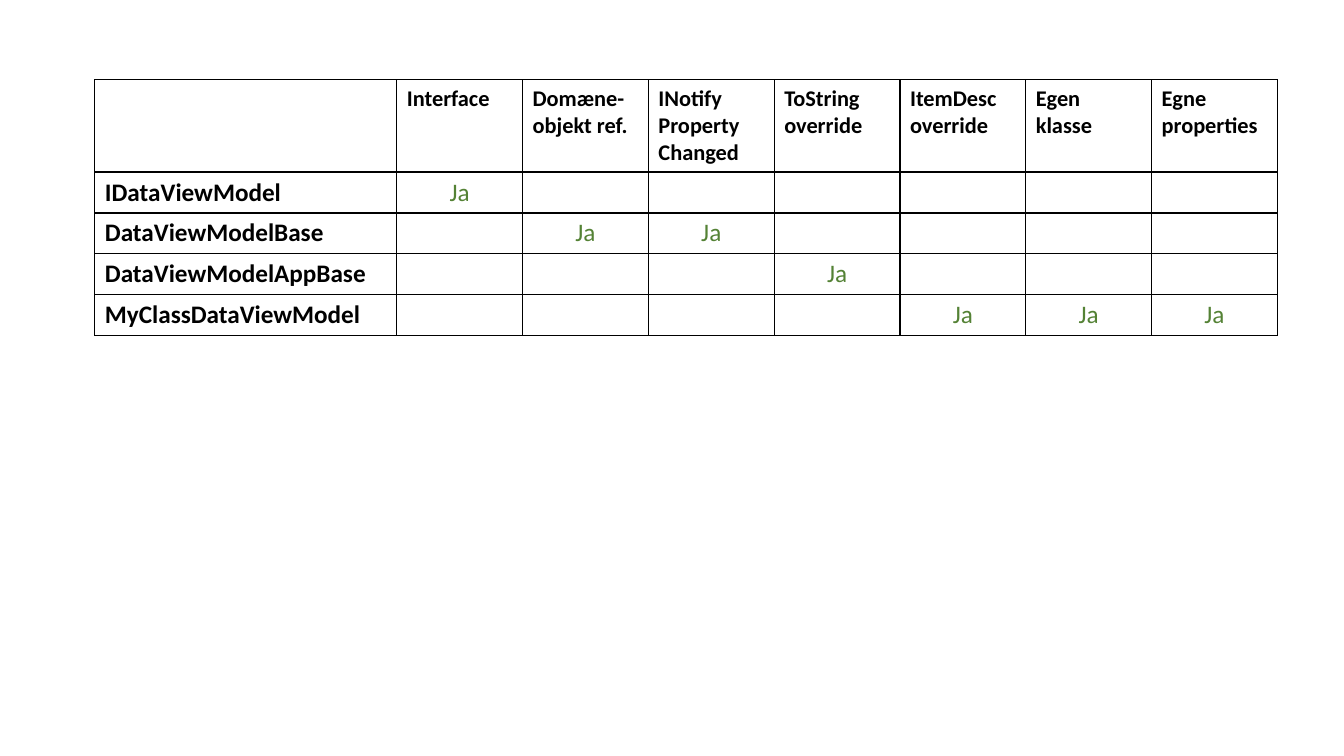
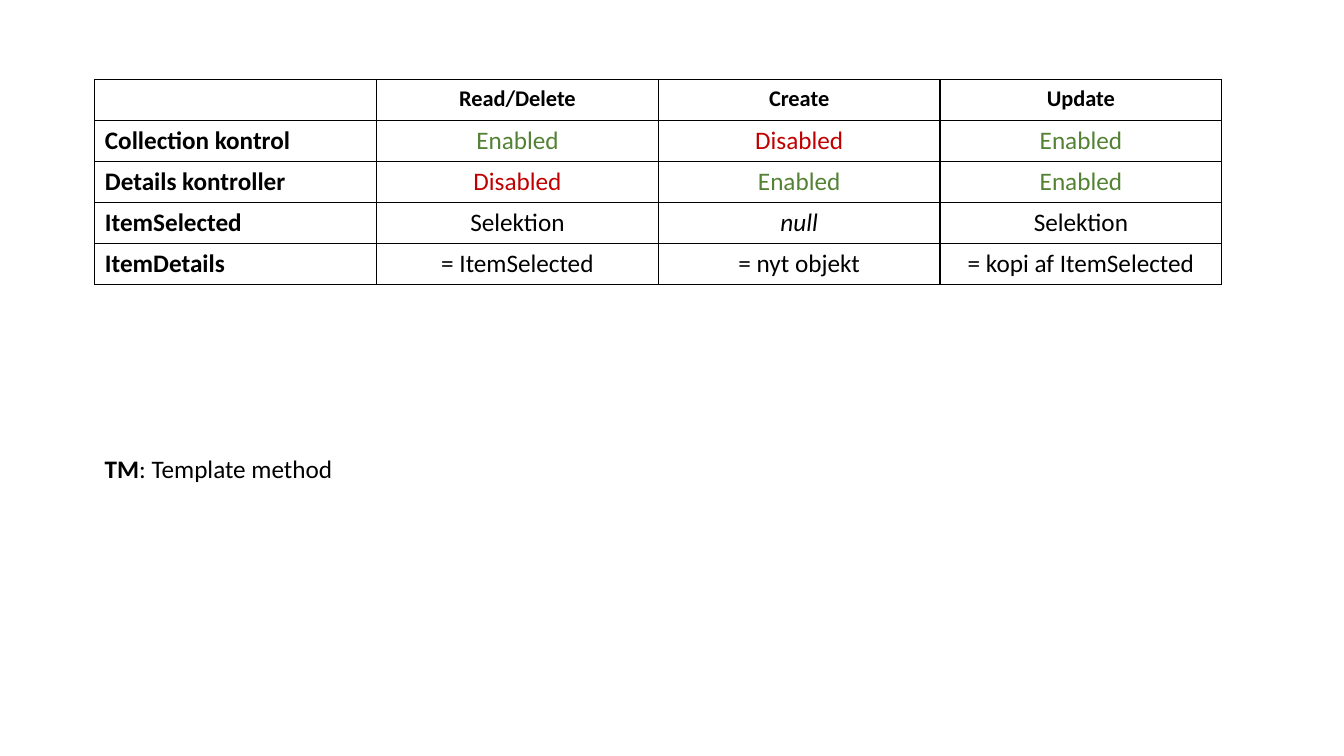
from lxml import etree
from pptx import Presentation
from pptx.dml.color import RGBColor
from pptx.enum import text
from pptx.oxml.ns import qn
from pptx.util import Cm, Pt

FONT = "Calibri"
BLACK, GREEN, RED, WHITE = "000000", "548235", "C00000", "FFFFFF"
LEFT, TOP, ROW_HEIGHT = Cm(2.39), Cm(2.01), Cm(1.03)
LEFT_ALIGN, CENTER = text.PP_ALIGN.LEFT, text.PP_ALIGN.CENTER

WORD_STYLES = {
    "Ja": {"color": GREEN},
    "Enabled": {"color": GREEN},
    "Disabled": {"color": RED},
    "null": {"italic": True},
}

CLASS_TABLE = {
    "header": ["", "Interface", "Domæne-objekt ref.", "INotify\nProperty\nChanged",
               "ToString override", "ItemDesc\noverride", "Egen klasse", "Egne properties"],
    "rows": [
        ["IDataViewModel", "Ja", "", "", "", "", "", ""],
        ["DataViewModelBase", "", "Ja", "Ja", "", "", "", ""],
        ["DataViewModelAppBase", "", "", "", "Ja", "", "", ""],
        ["MyClassDataViewModel", "", "", "", "", "Ja", "Ja", "Ja"],
    ],
    "widths": [Cm(7.61)] + [Cm(3.17)] * 7,
    "header_height": Cm(2.31),
    "header_align": LEFT_ALIGN,
}
STATE_TABLE = {
    "header": ["", "Read/Delete", "Create", "Update"],
    "rows": [
        ["Collection kontrol", "Enabled", "Disabled", "Enabled"],
        ["Details kontroller", "Disabled", "Enabled", "Enabled"],
        ["ItemSelected", "Selektion", "null", "Selektion"],
        ["ItemDetails", "= ItemSelected", "= nyt objekt", "= kopi af ItemSelected"],
    ],
    "widths": [Cm(7.1)] * 4,
    "header_height": ROW_HEIGHT,
    "header_align": CENTER,
}
NOTE = [("TM", True), (": Template method", False)]


def rgb(color):
    return RGBColor.from_string(color)


def format_font(font, color=BLACK, **values):
    font.color.rgb = rgb(color)
    for name, value in {"name": FONT, "size": Pt(18), **values}.items():
        setattr(font, name, value)


def add_borders(cell):
    properties = cell._tc.get_or_add_tcPr()
    for index, side in enumerate(("a:lnL", "a:lnR", "a:lnT", "a:lnB")):
        line = etree.Element(qn(side), w=str(Pt(1)))
        fill = etree.SubElement(line, qn("a:solidFill"))
        etree.SubElement(fill, qn("a:srgbClr"), val=BLACK)
        properties.insert(index, line)


def fill_cell(cell, content, align, **font_values):
    cell.fill.solid()
    cell.fill.fore_color.rgb = rgb(WHITE)
    add_borders(cell)
    cell.text = content
    for paragraph in cell.text_frame.paragraphs:
        paragraph.alignment = align
        for run in paragraph.runs:
            format_font(run.font, **font_values)


def add_table(slide, header, rows, widths, header_height, header_align):
    heights = [header_height] + [ROW_HEIGHT] * len(rows)
    table = slide.shapes.add_table(len(heights), len(widths), LEFT, TOP,
                                   sum(widths), sum(heights)).table
    table.first_row = table.horz_banding = False
    for column, width in zip(table.columns, widths):
        column.width = width
    for row, height in zip(table.rows, heights):
        row.height = height

    for index, content in enumerate(header):
        fill_cell(table.cell(0, index), content, header_align, bold=True, size=Pt(16))
    for row_index, (label, *values) in enumerate(rows, 1):
        fill_cell(table.cell(row_index, 0), label, LEFT_ALIGN, bold=True)
        for column_index, value in enumerate(values, 1):
            fill_cell(table.cell(row_index, column_index), value, CENTER,
                      bold=False, **WORD_STYLES.get(value, {}))


def add_note(slide, runs):
    frame = slide.shapes.add_textbox(LEFT, Cm(11.3), Cm(6.3), Cm(1.03)).text_frame
    frame.word_wrap = False
    frame.auto_size = text.MSO_AUTO_SIZE.SHAPE_TO_FIT_TEXT
    for content, bold in runs:
        run = frame.paragraphs[0].add_run()
        run.text = content
        format_font(run.font, bold=bold)


def main():
    presentation = Presentation()
    presentation.slide_width, presentation.slide_height = Cm(33.87), Cm(19.05)
    blank = presentation.slide_layouts.get_by_name("Blank")

    class_slide = presentation.slides.add_slide(blank)
    add_table(class_slide, **CLASS_TABLE)

    state_slide = presentation.slides.add_slide(blank)
    add_table(state_slide, **STATE_TABLE)
    add_note(state_slide, NOTE)

    presentation.save("out.pptx")


if __name__ == "__main__":
    main()
